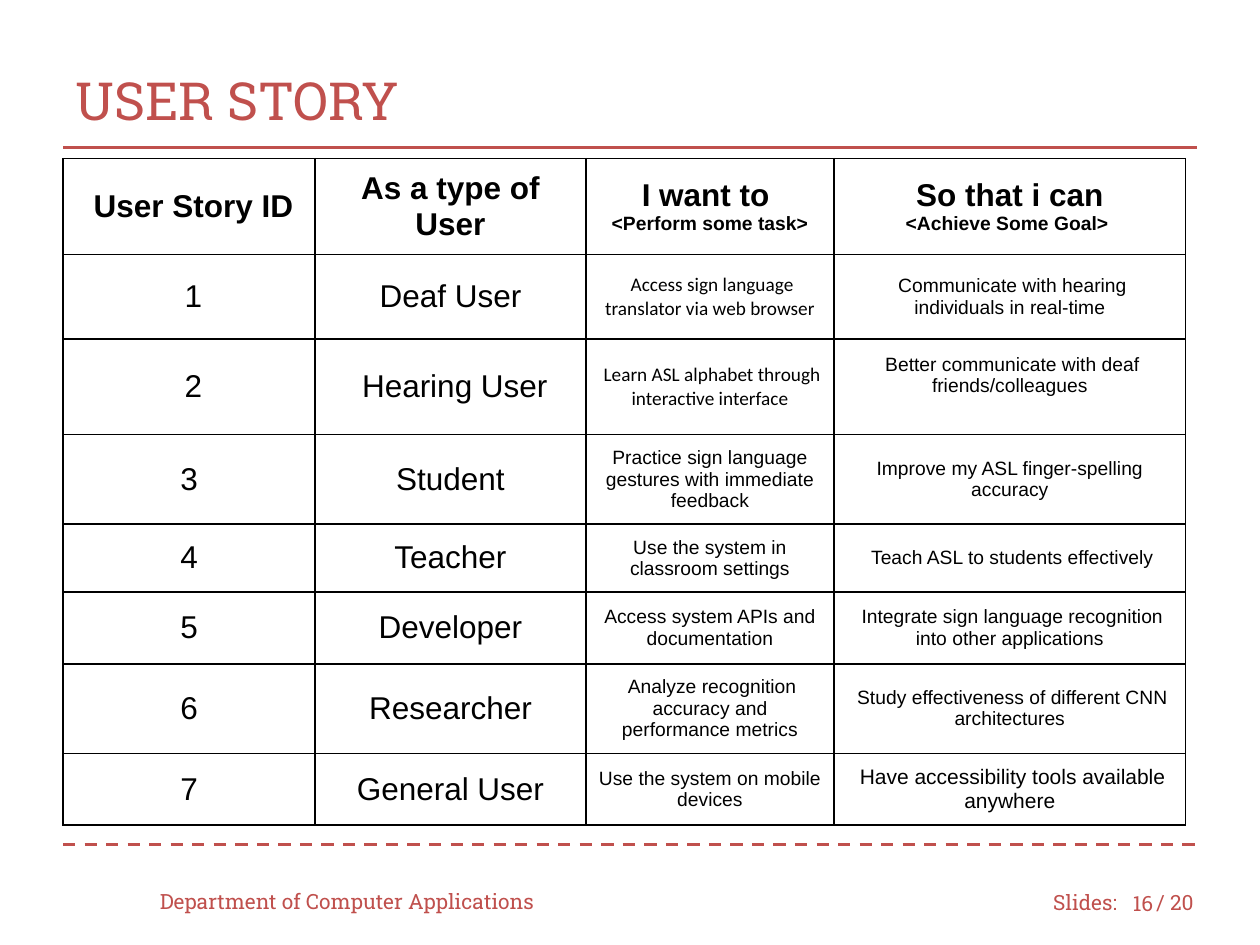
from lxml import etree
from pptx import Presentation
from pptx.dml.color import RGBColor
from pptx.enum.dml import MSO_LINE
from pptx.enum.shapes import MSO_CONNECTOR
from pptx.enum.text import MSO_ANCHOR, PP_ALIGN
from pptx.oxml.ns import qn
from pptx.util import Inches, Pt

LEFT, CENTER, RIGHT = PP_ALIGN.LEFT, PP_ALIGN.CENTER, PP_ALIGN.RIGHT
MIDDLE = MSO_ANCHOR.MIDDLE
STRAIGHT, DASH = MSO_CONNECTOR.STRAIGHT, MSO_LINE.DASH
TITLE_ONLY = 5

THEME = {
    "accent": "C0504D", "ink": "000000", "paper": "FFFFFF",
    "display": "Roboto Slab", "body": "Arial", "alternate": "Calibri",
    "title": 30, "large": 18, "footer": 12, "emphasis": 12, "small": 11,
    "rule": 1.75, "border": 1,
}

TITLE = "USER STORY"
HEADERS = [
    [" User Story ID"],
    ["As a type of User"],
    ["I want to ", "<Perform some task>"],
    ["So that i can", "<Achieve Some Goal> "],
]
STORIES = [
    (" 1", "Deaf User", " Access sign language translator via web browser",
     " Communicate with hearing individuals in real-time"),
    (" 2", " Hearing User", " Learn ASL alphabet through interactive interface",
     " Better communicate with deaf friends/colleagues"),
    ("3", "Student", "Practice sign language gestures with immediate feedback",
     "Improve my ASL finger-spelling accuracy"),
    ("4", "Teacher", "Use the system in classroom settings",
     " Teach ASL to students effectively"),
    ("5", "Developer", "Access system APIs and documentation",
     " Integrate sign language recognition into other applications"),
    ("6", "Researcher", " Analyze recognition accuracy and performance metrics",
     " Study effectiveness of different CNN architectures"),
    ("7", "General User", "Use the system on mobile devices",
     " Have accessibility tools available anywhere"),
]
COLUMN_WIDTHS = [2, 2.15, 1.97, 2.79]
ROW_HEIGHTS = [0.76, 0.67, 0.76, 0.71, 0.54, 0.57, 0.71, 0.57]
TABLE_LEFT, TABLE_TOP = 0.5, 1.26
SIDE_MARGIN, EDGE_MARGIN, RAISED_MARGIN = 0.1, 0.07, 0.25
TASK, GOAL = 2, 3
ALTERNATE_FONT_ROWS = (1, 2)
RAISED_CELL = (2, GOAL)
EMPHASIS_CELL = (7, GOAL)

FOOTERS = [
    ("Slides:", 8.26, 6.96, 0.75, LEFT),
    ("/ 20", 9.08, 6.96, 0.58, LEFT),
    ("Department of Computer Applications", 1.17, 6.95, 3.33, LEFT),
    ("16", 8.83, 6.97, 0.42, RIGHT),
]
FOOTER_HEIGHT = 0.4
RULES = [(1.17, None), (6.7, DASH)]
RULE_LEFT, RULE_RIGHT = 0.5, 9.5


def color(name):
    return RGBColor.from_string(THEME[name])


def write(para, text, size="small", font="body", ink="ink", bold=False, align=CENTER):
    para.alignment = align
    span = para.add_run()
    span.text = text
    span.font.size = Pt(THEME[size])
    span.font.name = THEME[font]
    span.font.bold = bold
    span.font.color.rgb = color(ink)


def add_rule(page, top, dash):
    rule = page.shapes.add_connector(
        STRAIGHT, Inches(RULE_LEFT), Inches(top), Inches(RULE_RIGHT), Inches(top))
    rule.line.color.rgb = color("accent")
    rule.line.width = Pt(THEME["rule"])
    if dash:
        rule.line.dash_style = dash
    etree.SubElement(rule._element.spPr, qn("a:effectLst"))


def add_title(page):
    box = page.shapes.title
    box.left, box.top, box.width, box.height = map(Inches, (0.5, 0.33, 9, 0.92))
    box.text_frame.vertical_anchor = MIDDLE
    write(box.text_frame.paragraphs[0], TITLE, size="title", font="display",
          ink="accent", align=LEFT)


def add_footer(page, text, left, top, width, align):
    box = page.shapes.add_textbox(*map(Inches, (left, top, width, FOOTER_HEIGHT)))
    frame = box.text_frame
    frame.word_wrap = True
    frame.vertical_anchor = MIDDLE
    write(frame.paragraphs[0], text, size="footer", font="display",
          ink="accent", align=align)


def format_cell(cell):
    cell.vertical_anchor = MIDDLE
    cell.margin_left = cell.margin_right = Inches(SIDE_MARGIN)
    cell.margin_top = cell.margin_bottom = Inches(EDGE_MARGIN)
    properties = cell._tc.get_or_add_tcPr()
    for side in ("lnL", "lnR", "lnT", "lnB"):
        border = etree.SubElement(properties, qn(f"a:{side}"), w=str(Pt(THEME["border"])))
        fill = etree.SubElement(border, qn("a:solidFill"))
        etree.SubElement(fill, qn("a:srgbClr"), val=THEME["ink"])
    cell.fill.solid()
    cell.fill.fore_color.rgb = color("paper")


def story_format(row, column):
    if column < TASK:
        return {"size": "large"}
    if (row, column) == EMPHASIS_CELL:
        return {"size": "emphasis"}
    if column == TASK and row in ALTERNATE_FONT_ROWS:
        return {"font": "alternate"}
    return {}


def add_story_table(page):
    table = page.shapes.add_table(
        len(ROW_HEIGHTS), len(COLUMN_WIDTHS), Inches(TABLE_LEFT), Inches(TABLE_TOP),
        Inches(sum(COLUMN_WIDTHS)), Inches(sum(ROW_HEIGHTS))).table
    table.horz_banding = False
    for column, width in zip(table.columns, COLUMN_WIDTHS):
        column.width = Inches(width)
    for row, height in zip(table.rows, ROW_HEIGHTS):
        row.height = Inches(height)
    for cell in table.iter_cells():
        format_cell(cell)
    for column, lines in enumerate(HEADERS):
        frame = table.cell(0, column).text_frame
        for index, line in enumerate(lines):
            para = frame.add_paragraph() if index else frame.paragraphs[0]
            write(para, line, size="small" if index else "large", bold=True)
    for row, story in enumerate(STORIES, start=1):
        for column, text in enumerate(story):
            para = table.cell(row, column).text_frame.paragraphs[0]
            write(para, text, **story_format(row, column))
    table.cell(*RAISED_CELL).margin_bottom = Inches(RAISED_MARGIN)


def main():
    deck = Presentation()
    deck.slide_width, deck.slide_height = Inches(10), Inches(7.5)
    page = deck.slides.add_slide(deck.slide_layouts[TITLE_ONLY])
    for top, dash in RULES:
        add_rule(page, top, dash)
    add_title(page)
    for footer in FOOTERS:
        add_footer(page, *footer)
    add_story_table(page)
    deck.save("out.pptx")


if __name__ == "__main__":
    main()
